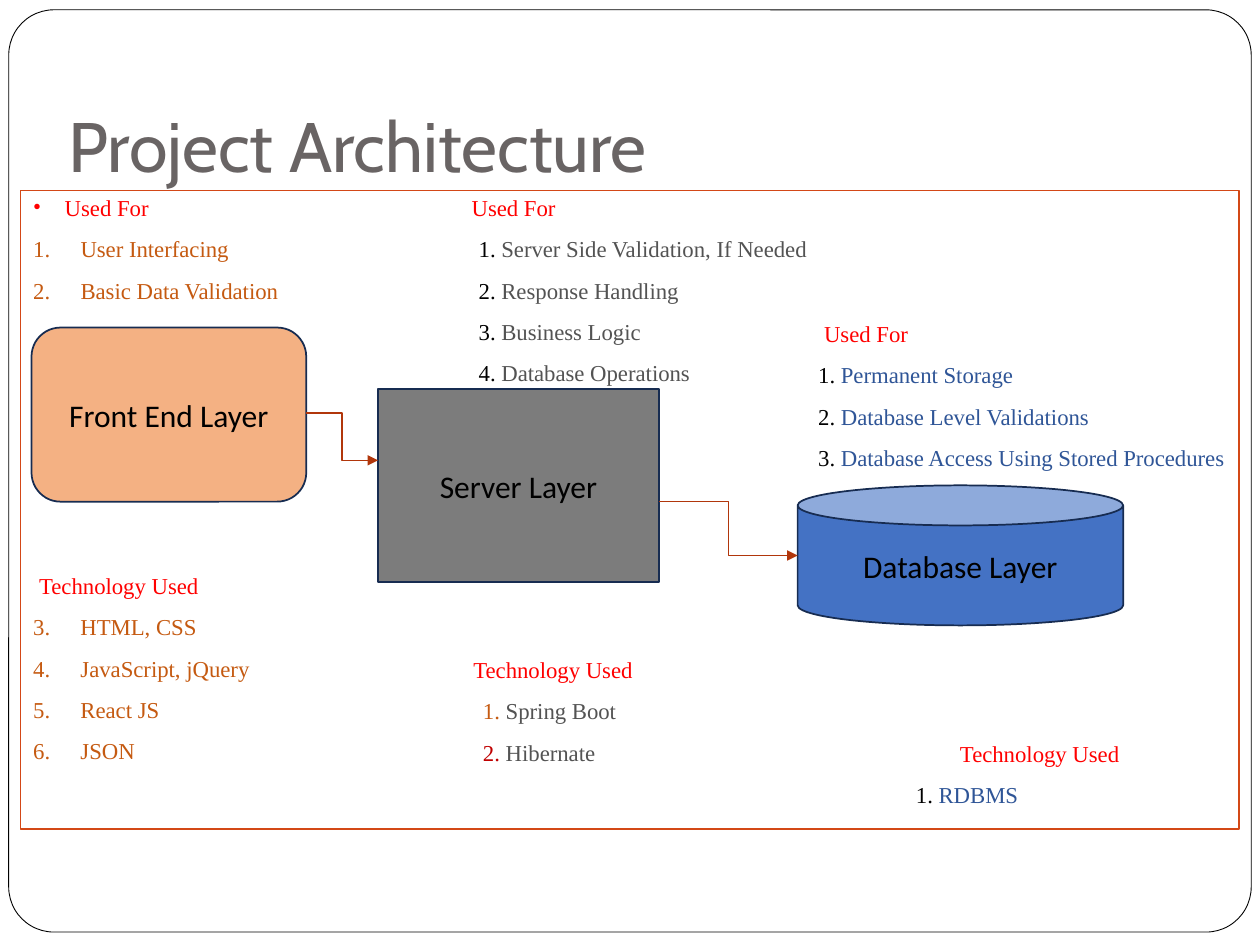
from lxml.etree import SubElement
from pptx import Presentation
from pptx.dml.color import RGBColor
from pptx.enum.shapes import MSO_CONNECTOR as Connector, MSO_SHAPE as Shape
from pptx.enum.text import MSO_ANCHOR as Anchor, MSO_AUTO_SIZE as AutoSize, PP_ALIGN as Align
from pptx.oxml.ns import qn
from pptx.util import Pt

WHITE = RGBColor(0xFF, 0xFF, 0xFF)
BLACK = RGBColor(0x00, 0x00, 0x00)
TITLE_GRAY = RGBColor(0x69, 0x64, 0x64)
RED = RGBColor(0xFF, 0x00, 0x00)
DARK_RED = RGBColor(0xC0, 0x00, 0x00)
BROWN = RGBColor(0xC5, 0x5A, 0x11)
GRAY = RGBColor(0x53, 0x53, 0x53)
BLUE = RGBColor(0x2F, 0x55, 0x97)
PEACH = RGBColor(0xF4, 0xB1, 0x83)
SERVER_GRAY = RGBColor(0x7C, 0x7C, 0x7C)
DATABASE_BLUE = RGBColor(0x44, 0x72, 0xC4)
NAVY = RGBColor(0x17, 0x2C, 0x51)
ORANGE = RGBColor(0xD3, 0x48, 0x17)
RUST = RGBColor(0xB1, 0x36, 0x0B)

LIST_FONT = "Times New Roman"
ROW_TOP = 112.3
ROW_PITCH = 24
ITEM_GAP = 9.6


def place(shape, left, top, width, height):
    shape.left, shape.top = Pt(left), Pt(top)
    shape.width, shape.height = Pt(width), Pt(height)


def set_font(paragraph, name, size, color):
    for run in paragraph.runs:
        run.font.name = name
        run.font.size = Pt(size)
        run.font.color.rgb = color


def add_panel(slide, preset, box, fill, line, weight, corner=None):
    panel = slide.shapes.add_shape(preset, *(Pt(length) for length in box))
    panel.shadow.inherit = False
    panel.fill.solid()
    panel.fill.fore_color.rgb = fill
    panel.line.color.rgb = line
    panel.line.width = Pt(weight)
    if corner is not None:
        panel.adjustments[0] = corner
    return panel


def add_layer(slide, preset, box, fill, label, corner=None):
    layer = add_panel(slide, preset, box, fill, NAVY, 1, corner)
    frame = layer.text_frame
    frame.text = label
    frame.vertical_anchor = Anchor.MIDDLE
    frame.paragraphs[0].alignment = Align.CENTER
    set_font(frame.paragraphs[0], "Calibri", 18, BLACK)


def add_flow(slide, start, end):
    flow = slide.shapes.add_connector(
        Connector.ELBOW, *(Pt(length) for length in start + end))
    flow.line.color.rgb = RUST
    flow.line.width = Pt(0.75)
    SubElement(flow.line._get_or_add_ln(), qn("a:tailEnd"), type="triangle")
    SubElement(flow._element.spPr, qn("a:effectLst"))


def set_marker(paragraph, margin, hanging, kind, color=RED, **settings):
    properties = paragraph._p.get_or_add_pPr()
    properties.set("marL", str(Pt(margin)))
    properties.set("indent", str(-Pt(hanging)))
    if kind != "a:buNone":
        marker_color = SubElement(properties, qn("a:buClr"))
        SubElement(marker_color, qn("a:srgbClr"), val=str(color))
        SubElement(properties, qn("a:buFont"), typeface=LIST_FONT)
    SubElement(properties, qn(kind), **settings)


def write_list(frame, heading, items, color, number_colors, margin, hanging,
               heading_margin=0, first=1, bulleted=False):
    frame.word_wrap = True
    frame.auto_size = AutoSize.NONE
    frame.vertical_anchor = Anchor.TOP
    frame.text = "\n".join([heading] + items)
    for index, paragraph in enumerate(frame.paragraphs):
        paragraph.alignment = Align.LEFT
        paragraph.line_spacing = 0.9
        paragraph.space_before = Pt(ITEM_GAP if index else 0)
        set_font(paragraph, LIST_FONT, 13, color if index else RED)
        if index:
            number_color = number_colors[(index - 1) % len(number_colors)]
            set_marker(paragraph, margin, hanging, "a:buAutoNum", number_color,
                       type="arabicPeriod", startAt=str(first))
        elif bulleted:
            set_marker(paragraph, 18, 18, "a:buChar", char="•")
        else:
            set_marker(paragraph, heading_margin, 0, "a:buNone")


def add_list(slide, left, row, width, heading, items, *style, **options):
    listing = slide.shapes.add_textbox(
        Pt(left), Pt(ROW_TOP + row * ROW_PITCH), Pt(width),
        Pt((len(items) + 1) * ROW_PITCH))
    frame = listing.text_frame
    frame.margin_left = frame.margin_right = 0
    frame.margin_top = frame.margin_bottom = 0
    write_list(frame, heading, items, *style, **options)


def write_title(title):
    place(title, 31.7, 23.8, 653.8, 90)
    frame = title.text_frame
    frame.text = "Project Architecture"
    frame.auto_size = AutoSize.NONE
    frame.vertical_anchor = Anchor.BOTTOM
    frame.margin_bottom = Pt(7.2)
    frame.paragraphs[0].alignment = Align.LEFT
    set_font(frame.paragraphs[0], "Cabin", 40, TITLE_GRAY)


def main():
    deck = Presentation()
    deck.slide_width, deck.slide_height = Pt(720), Pt(540)
    slide = deck.slides.add_slide(deck.slide_layouts[1])
    title, overview = slide.placeholders
    tree = slide.shapes._spTree

    add_panel(slide, Shape.ROUNDED_RECTANGLE, (5, 5.6, 710, 527), WHITE, BLACK, 0.5, 0.049)
    write_title(title)
    tree.append(title._element)

    add_layer(slide, Shape.ROUNDED_RECTANGLE, (18, 187.2, 157, 99.5), PEACH, "Front End Layer")
    add_layer(slide, Shape.RECTANGLE, (216, 222.4, 160.6, 110.2), SERVER_GRAY, "Server Layer")
    add_layer(slide, Shape.CAN, (455.8, 277.4, 186, 80), DATABASE_BLUE, "Database Layer", 0.286)

    place(overview, 11.8, 108.7, 696.2, 365)
    overview.line.color.rgb = ORANGE
    overview.line.width = Pt(0.75)
    write_list(overview.text_frame, "Used For", ["User Interfacing", "Basic Data Validation"],
               BROWN, [BROWN], 27, 27, bulleted=True)
    tree.append(overview._element)

    add_list(slide, 19, 9, 180, "Technology Used",
             ["HTML, CSS", "JavaScript, jQuery", "React JS", "JSON"],
             BROWN, [BROWN], 27, 27, heading_margin=3.4, first=3)
    add_list(slide, 269.5, 0, 220, "Used For",
             ["Server Side Validation, If Needed", "Response Handling",
              "Business Logic", "Database Operations"],
             GRAY, [BLACK], 17, 13)
    add_list(slide, 270.5, 11, 180, "Technology Used", ["Spring Boot", "Hibernate"],
             GRAY, [BROWN, DARK_RED], 18.5, 13)
    add_list(slide, 467.5, 3, 240, "Used For",
             ["Permanent Storage", "Database Level Validations",
              "Database Access Using Stored Procedures"],
             BLUE, [BLACK], 13, 13, heading_margin=3.4)
    add_list(slide, 523.4, 13, 180, "Technology Used", ["RDBMS"],
             BLUE, [BLACK], 13, 13, heading_margin=25.2)

    add_flow(slide, (175, 236), (216, 263))
    add_flow(slide, (376.6, 286.7), (455.8, 317.4))
    deck.save("out.pptx")


if __name__ == "__main__":
    main()
